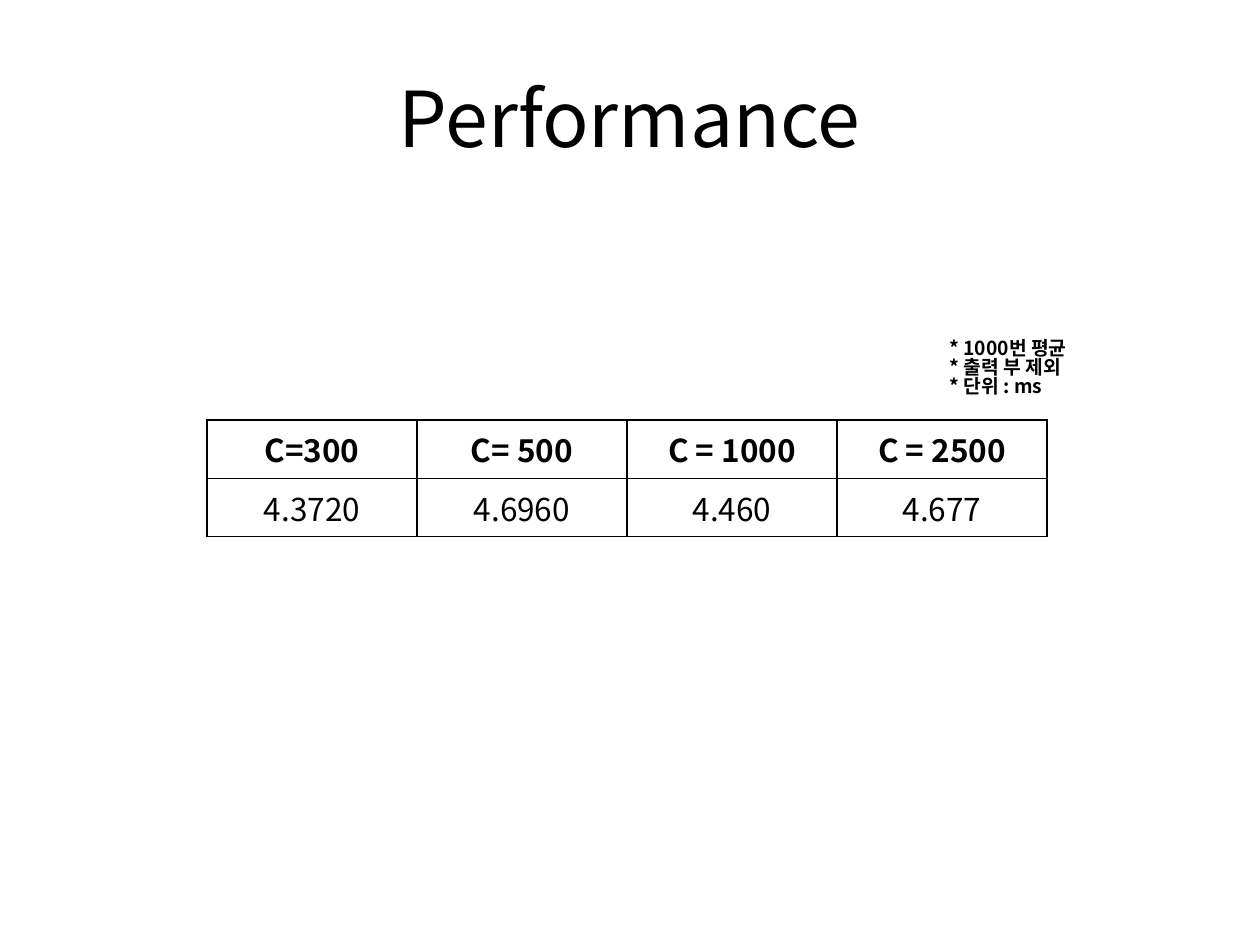
from lxml import etree
from pptx import Presentation
from pptx import util as u
from pptx.dml.color import RGBColor
from pptx.enum import text
from pptx.oxml.ns import qn

# Content
HEADING = "Performance"
NOTES = ["* 1000번 평균", "* 출력 부 제외", "* 단위 : ms"]
TIMINGS = [
    ("C=300", "C= 500", "C = 1000", "C = 2500"),
    ("4.3720", "4.6960", "4.460", "4.677"),
]

THEME = {
    "font": "Noto Sans CJK KR",
    "ink": RGBColor(0, 0, 0),
    "paper": RGBColor(255, 255, 255),
    "heading": 44,
    "cell": 18,
    "note": 11,
    "border": 1,
    "note_spacing": 0.83,
}

# Places in pixels: left, top, width, height
PX = u.Inches(1) // 126
HEADING_BOX = (63, 38, 1134, 158)
TABLE_BOX = (207, 420, 840, 102)
NOTES_BOX = (937, 334, 228, 83)


def emu(box):
    return [length * PX for length in box]


def write(paragraph, words, size, bold=False, align=text.PP_ALIGN.CENTER):
    paragraph.alignment = align
    run = paragraph.add_run()
    run.text = words
    style = {"name": THEME["font"], "size": u.Pt(size), "bold": bold}
    for key, value in style.items():
        setattr(run.font, key, value)
    run.font.color.rgb = THEME["ink"]
    east_asian = etree.SubElement(run.font._element, qn("a:ea"))
    east_asian.set("typeface", THEME["font"])


def add_borders(cell):
    properties = cell._tc.get_or_add_tcPr()
    for index, side in enumerate(("lnL", "lnR", "lnT", "lnB")):
        line = etree.Element(qn(f"a:{side}"), w=str(u.Pt(THEME["border"])))
        fill = etree.SubElement(line, qn("a:solidFill"))
        etree.SubElement(fill, qn("a:srgbClr"), val=str(THEME["ink"]))
        properties.insert(index, line)


deck = Presentation()
deck.slide_width, deck.slide_height = emu((1260, 945))
slide = deck.slides.add_slide(deck.slide_layouts[5])
slide.background.fill.solid()
slide.background.fill.fore_color.rgb = THEME["paper"]

# Heading
heading = slide.shapes.title
heading.left, heading.top, heading.width, heading.height = emu(HEADING_BOX)
heading.text_frame.vertical_anchor = text.MSO_ANCHOR.MIDDLE
write(heading.text_frame.paragraphs[0], HEADING, THEME["heading"])

# Timings table
timings = slide.shapes.add_table(
    len(TIMINGS), len(TIMINGS[0]), *emu(TABLE_BOX)).table
for row, values in enumerate(TIMINGS):
    for column, value in enumerate(values):
        cell = timings.cell(row, column)
        cell.fill.background()
        add_borders(cell)
        write(cell.text_frame.paragraphs[0], value, THEME["cell"], bold=row == 0)

# Measurement notes
notes = slide.shapes.add_textbox(*emu(NOTES_BOX)).text_frame
notes.word_wrap = True
for index, note in enumerate(NOTES):
    paragraph = notes.add_paragraph() if index else notes.paragraphs[0]
    paragraph.line_spacing = THEME["note_spacing"]
    write(paragraph, note, THEME["note"], bold=True, align=text.PP_ALIGN.LEFT)

deck.save("out.pptx")
